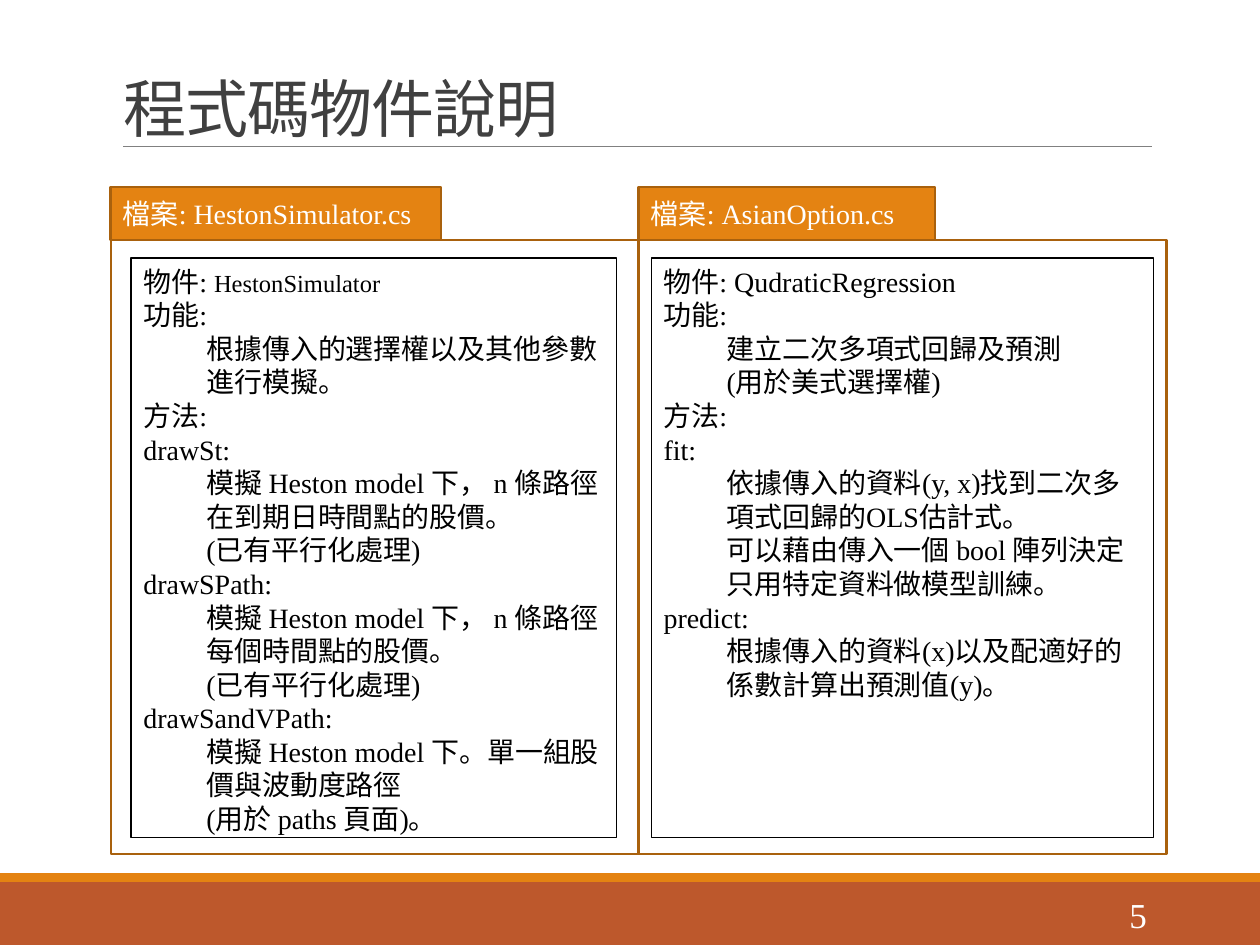
from pptx import Presentation
from pptx.dml.color import RGBColor
from pptx.enum.shapes import MSO_CONNECTOR, MSO_SHAPE
from pptx.enum.text import MSO_ANCHOR, PP_ALIGN
from pptx.oxml.ns import qn
from pptx.util import Pt
from lxml import etree

RECTANGLE = MSO_SHAPE.RECTANGLE
STRAIGHT = MSO_CONNECTOR.STRAIGHT
TOP, MIDDLE, BOTTOM = MSO_ANCHOR.TOP, MSO_ANCHOR.MIDDLE, MSO_ANCHOR.BOTTOM
LEFT, RIGHT = PP_ALIGN.LEFT, PP_ALIGN.RIGHT
FONT = "Times New Roman"
COLORS = {
    "orange": "E48312", "rust": "BD582C", "border": "A9610D", "rule": "808080",
    "title": "404040", "black": "000000", "white": "FFFFFF",
}

HESTON = [
    (0, [("物件: ", 16), ("HestonSimulator", 14)]),
    (0, [("功能:", 16)]),
    (1, [("根據傳入的選擇權以及其他參數進行模擬。", 16)]),
    (0, [("方法:", 16)]),
    (0, [("drawSt:", 16)]),
    (1, [("模擬 Heston model 下， n 條路徑在到期日時間點的股價。", 16)]),
    (1, [("(已有平行化處理)", 16)]),
    (0, [("drawSPath:", 16)]),
    (1, [("模擬 Heston model 下， n 條路徑每個時間點的股價。", 16)]),
    (1, [("(已有平行化處理)", 16)]),
    (0, [("drawSandVPath:", 16)]),
    (1, [("模擬 Heston model 下。單一組股價與波動度路徑", 16)]),
    (1, [("(用於 paths 頁面)。", 16)]),
]
REGRESSION = [
    (0, [("物件: QudraticRegression", 16)]),
    (0, [("功能:", 16)]),
    (1, [("建立二次多項式回歸及預測", 16)]),
    (1, [("(用於美式選擇權)", 16)]),
    (0, [("方法:", 16)]),
    (0, [("fit:", 16)]),
    (1, [("依據傳入的資料(y, x)找到二次多項式回歸的OLS估計式。", 16)]),
    (1, [("可以藉由傳入一個 bool 陣列決定只用特定資料做模型訓練。", 16)]),
    (0, [("predict:", 16)]),
    (1, [("根據傳入的資料(x)以及配適好的係數計算出預測值(y)。", 16)]),
]


def color(name):
    return RGBColor.from_string(COLORS[name])


def add_box(page, box, fill=None, line=None, width=1.25):
    shape = page.shapes.add_shape(RECTANGLE, *map(Pt, box))
    shape.shadow.inherit = False
    if fill:
        shape.fill.solid()
        shape.fill.fore_color.rgb = color(fill)
    else:
        shape.fill.background()
    if line:
        shape.line.color.rgb = color(line)
        shape.line.width = Pt(width)
    else:
        shape.line.fill.background()
    return shape


def write(shape, rows, ink, anchor=TOP, align=LEFT):
    frame = shape.text_frame
    frame.word_wrap = True
    frame.vertical_anchor = anchor
    for index, (level, spans) in enumerate(rows):
        para = frame.add_paragraph() if index else frame.paragraphs[0]
        para.alignment = align
        if level:
            para.level = level
            properties = para._p.get_or_add_pPr()
            properties.set("marL", str(Pt(36)))
            properties.set("indent", "0")
        for text, size in spans:
            span = para.add_run()
            span.text = text
            span.font.name = FONT
            span.font.size = Pt(size)
            span.font.color.rgb = color(ink)
    return frame


def add_title(page, box, text):
    title = page.shapes.add_textbox(*map(Pt, box))
    para = write(title, [(0, [(text, 36)])], "title", BOTTOM).paragraphs[0]
    para.line_spacing = 0.85
    para.runs[0].font._element.set("spc", "-50")
    left, y = box[0] + 7.2, 83.5
    rule = page.shapes.add_connector(STRAIGHT, Pt(left), Pt(y), Pt(left + 588), Pt(y))
    rule.line.color.rgb = color("rule")
    rule.line.width = Pt(0.5)
    etree.SubElement(rule._element.spPr, qn("a:effectLst"))


def add_footer(page, box, number):
    left, top, width, height = box
    add_box(page, (left, top + 5, width, height - 5), "rust")
    add_box(page, (left, top, width, 5), "orange")
    label = page.shapes.add_textbox(Pt(584.6), Pt(top + 9.3), Pt(77.8), Pt(28.8))
    write(label, [(0, [(number, 20)])], "white", MIDDLE, RIGHT)


def add_panel(page, box, tab_width, file_name, inner_left, inner_width, rows):
    left, top, width, height = box
    add_box(page, box, line="border")
    tab = add_box(page, (left, top - 30, tab_width, 30), "orange", "border")
    write(tab, [(0, [("檔案: " + file_name, 16)])], "white", MIDDLE)
    inner = (left + inner_left, top + 10.4, inner_width, 331.2)
    write(add_box(page, inner, line="black", width=0.75), rows, "black")


def main():
    deck = Presentation()
    deck.slide_width, deck.slide_height = Pt(720), Pt(540)
    page = deck.slides.add_slide(deck.slide_layouts[6])
    add_footer(page, (0, 499, 720, 41), "5")
    add_title(page, (63.2, 31, 594, 55.4), "程式碼物件說明")
    left, top, width, height = 63.2, 137.1, 301.7, 351
    panels = [
        (188.8, "HestonSimulator.cs", 11.7, 277.6, HESTON),
        (169.2, "AsianOption.cs", 7.2, 287, REGRESSION),
    ]
    for index, panel in enumerate(panels):
        add_panel(page, (left + index * width, top, width, height), *panel)
    deck.save("out.pptx")


if __name__ == "__main__":
    main()
